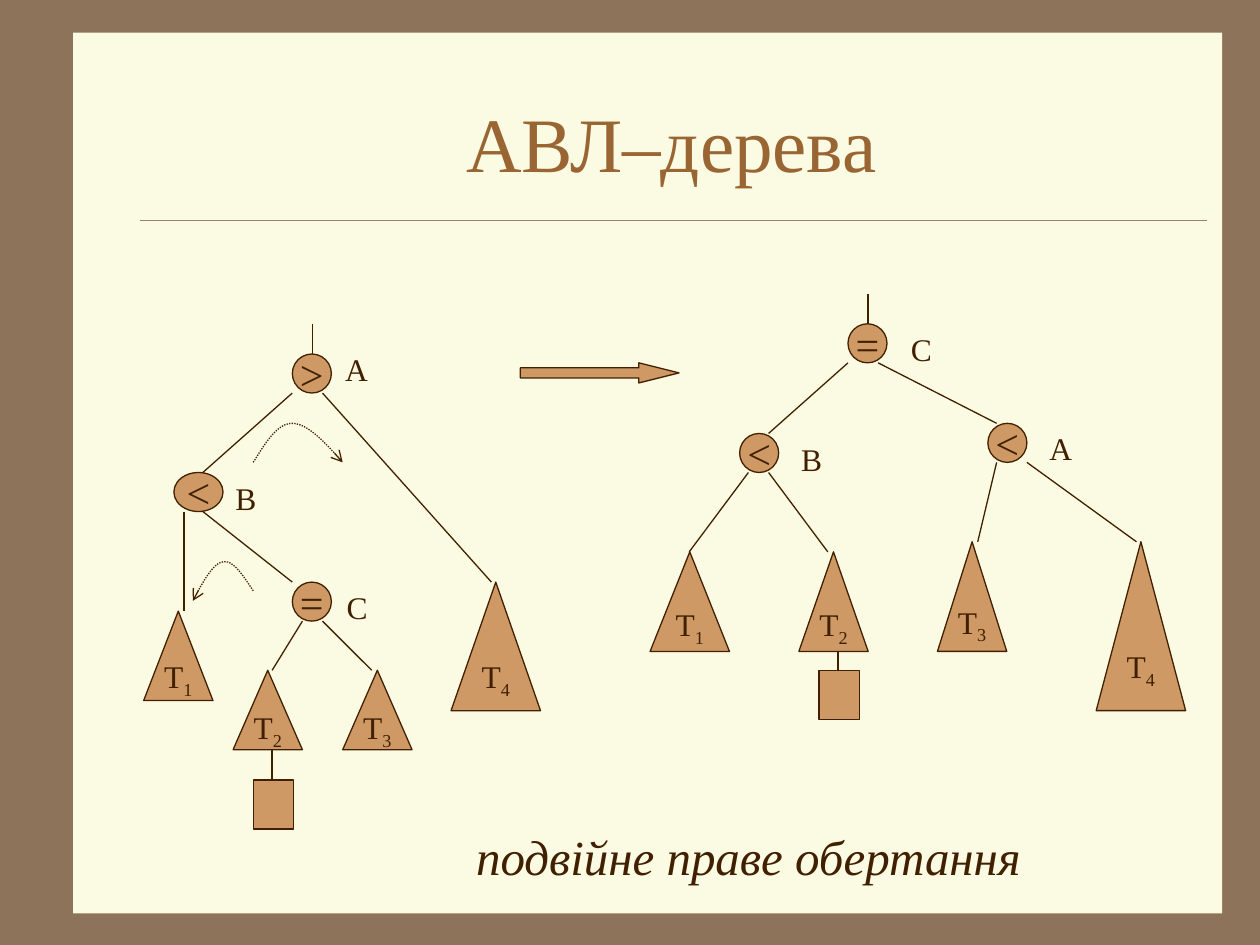
from lxml import etree
from pptx import Presentation
from pptx.dml.color import RGBColor
from pptx.enum.dml import MSO_LINE
from pptx.enum.shapes import MSO_CONNECTOR, MSO_SHAPE
from pptx.enum.text import MSO_ANCHOR, MSO_AUTO_SIZE, PP_ALIGN
from pptx.oxml.ns import qn
from pptx.util import Inches, Pt

OVAL, TRIANGLE = MSO_SHAPE.OVAL, MSO_SHAPE.ISOSCELES_TRIANGLE
RECTANGLE, RIGHT_ARROW = MSO_SHAPE.RECTANGLE, MSO_SHAPE.RIGHT_ARROW
STRAIGHT, DOTTED = MSO_CONNECTOR.STRAIGHT, MSO_LINE.ROUND_DOT
CENTER, MIDDLE, NO_FIT = PP_ALIGN.CENTER, MSO_ANCHOR.MIDDLE, MSO_AUTO_SIZE.NONE
INK, TAN = "402000", "CE9964"
color = RGBColor.from_string


def write(shape, text, size, ink=INK, wrap=True, subscript="", italic=False):
    """Put one centred line of text, with an optional subscript, in a shape."""
    frame = shape.text_frame
    frame.word_wrap = wrap
    frame.auto_size = NO_FIT
    para = frame.paragraphs[0]
    para.alignment = CENTER
    for part in filter(None, (text, subscript)):
        span = para.add_run()
        span.text = part
        font_format = {"name": "Times New Roman", "size": Pt(size), "italic": italic}
        for name, value in font_format.items():
            setattr(span.font, name, value)
        span.font.color.rgb = color(ink)
    if subscript:
        span.font._element.set("baseline", "-25000")


def add_block(kind, left, top, width, height, fill=TAN, line=INK):
    block = slide.shapes.add_shape(
        kind, Inches(left), Inches(top), Inches(width), Inches(height))
    block.shadow.inherit = False
    block.fill.solid()
    block.fill.fore_color.rgb = color(fill)
    if line:
        block.line.color.rgb = color(line)
        block.line.width = Pt(0.75)
    else:
        block.line.fill.background()
    block.text_frame.vertical_anchor = MIDDLE
    return block


deck = Presentation()
deck.slide_width, deck.slide_height = Inches(10), Inches(7.5)
slide = deck.slides.add_slide(deck.slide_layouts[5])
slide.background.fill.solid()
slide.background.fill.fore_color.rgb = color("8C735A")

title = slide.shapes.title
title.left, title.top = Inches(1.08), Inches(0.5)
title.width, title.height = Inches(8.5), Inches(1.25)
title.text_frame.vertical_anchor = MIDDLE
write(title, "АВЛ–дерева", 44, "996633")

paper = add_block(RECTANGLE, 0.58, 0.26, 9.12, 6.99, "FBFAE2", None)
title.element.addprevious(paper.element)

# Title rule first, then the edges of the left and the right tree
lines = [(1.11, 1.75, 9.58, 1.75, "A08366", 0.25)]
edges = [
    (2.48, 2.81, 2.48, 2.57), (2.32, 3.12, 1.61, 3.75), (2.56, 3.12, 3.9, 4.62),
    (1.46, 4.06, 1.46, 4.85), (1.61, 4.06, 2.32, 4.62), (2.4, 4.93, 2.16, 5.32),
    (2.56, 4.93, 2.95, 5.32), (2.16, 5.95, 2.16, 6.19),
    (6.89, 2.57, 6.89, 2.33), (6.73, 2.88, 6.1, 3.44), (6.97, 2.88, 7.91, 3.36),
    (5.94, 3.75, 5.47, 4.38), (6.1, 3.75, 6.57, 4.38), (7.91, 3.67, 7.76, 4.3),
    (8.15, 3.67, 9.02, 4.3), (6.65, 5.17, 6.65, 5.32),
]
lines += [(*edge, INK, 0.75) for edge in edges]
for x1, y1, x2, y2, ink, weight in lines:
    connector = slide.shapes.add_connector(
        STRAIGHT, Inches(x1), Inches(y1), Inches(x2), Inches(y2))
    connector.line.color.rgb = color(ink)
    connector.line.width = Pt(weight)
    etree.SubElement(connector.element.spPr, qn("a:effectLst"))

# Nodes: balance sign, left, top, width, then the label: name, left, top, width
nodes = [
    (">", 2.32, 2.81, 0.31, "A", 2.64, 2.73, 0.32),
    ("<", 1.38, 3.75, 0.39, "B", 1.77, 3.75, 0.32),
    ("=", 2.32, 4.62, 0.31, "C", 2.64, 4.62, 0.39),
    ("=", 6.73, 2.57, 0.31, "C", 7.13, 2.57, 0.32),
    ("<", 5.87, 3.44, 0.31, "B", 6.26, 3.44, 0.34),
    ("<", 7.84, 3.36, 0.31, "A", 8.23, 3.36, 0.31),
]
for sign, left, top, width, name, label_left, label_top, label_width in nodes:
    node = add_block(OVAL, left, top, width, 0.31)
    write(node, sign, 24, wrap=False)
    label = slide.shapes.add_textbox(
        Inches(label_left), Inches(label_top), Inches(label_width), Inches(0.4))
    write(label, name, 18)

subtrees = [
    ("1", 1.14, 4.85, 0.55, 0.71), ("2", 1.85, 5.32, 0.55, 0.63),
    ("3", 2.72, 5.32, 0.55, 0.63), ("4", 3.58, 4.62, 0.71, 1.02),
    ("1", 5.16, 4.38, 0.63, 0.79), ("2", 6.34, 4.38, 0.55, 0.79),
    ("3", 7.44, 4.3, 0.55, 0.87), ("4", 8.7, 4.3, 0.71, 1.34),
]
for number, *place in subtrees:
    write(add_block(TRIANGLE, *place), "T", 18, wrap=False, subscript=number)

for left, top in [(2.01, 6.19), (6.5, 5.32)]:
    add_block(RECTANGLE, left, top, 0.32, 0.39)

arrow = add_block(RIGHT_ARROW, 4.13, 2.88, 1.26, 0.16)
arrow.adjustments[0], arrow.adjustments[1] = 0.5, 2

# Rotation arrows: each is two Bezier curves that share their middle point
STEPS = 12
rotations = [
    [(2.01, 4.69), (1.93, 4.57), (1.85, 4.44), (1.77, 4.46),
     (1.69, 4.47), (1.61, 4.62), (1.53, 4.77)],
    [(2.01, 3.67), (2.11, 3.51), (2.2, 3.36), (2.32, 3.36),
     (2.44, 3.36), (2.58, 3.51), (2.72, 3.67)],
]
for controls in rotations:
    points = []
    for curve in (controls[:4], controls[3:]):
        for step in range(1, STEPS + 1):
            t = step / STEPS
            weights = ((1 - t) ** 3, 3 * t * (1 - t) ** 2, 3 * t ** 2 * (1 - t), t ** 3)
            points.append(tuple(
                Inches(sum(w * point[axis] for w, point in zip(weights, curve)))
                for axis in (0, 1)))
    builder = slide.shapes.build_freeform(*(Inches(value) for value in controls[0]))
    builder.add_line_segments(points, close=False)
    rotation = builder.convert_to_shape()
    rotation.shadow.inherit = False
    rotation.fill.background()
    rotation.line.color.rgb = color(INK)
    rotation.line.width = Pt(0.75)
    rotation.line.dash_style = DOTTED
    etree.SubElement(rotation.element.spPr.find(qn("a:ln")), qn("a:tailEnd"), type="arrow")

caption = slide.shapes.add_textbox(Inches(3.58), Inches(6.51), Inches(4.72), Inches(0.57))
write(caption, "подвійне праве обертання", 28, italic=True)

deck.save("out.pptx")
